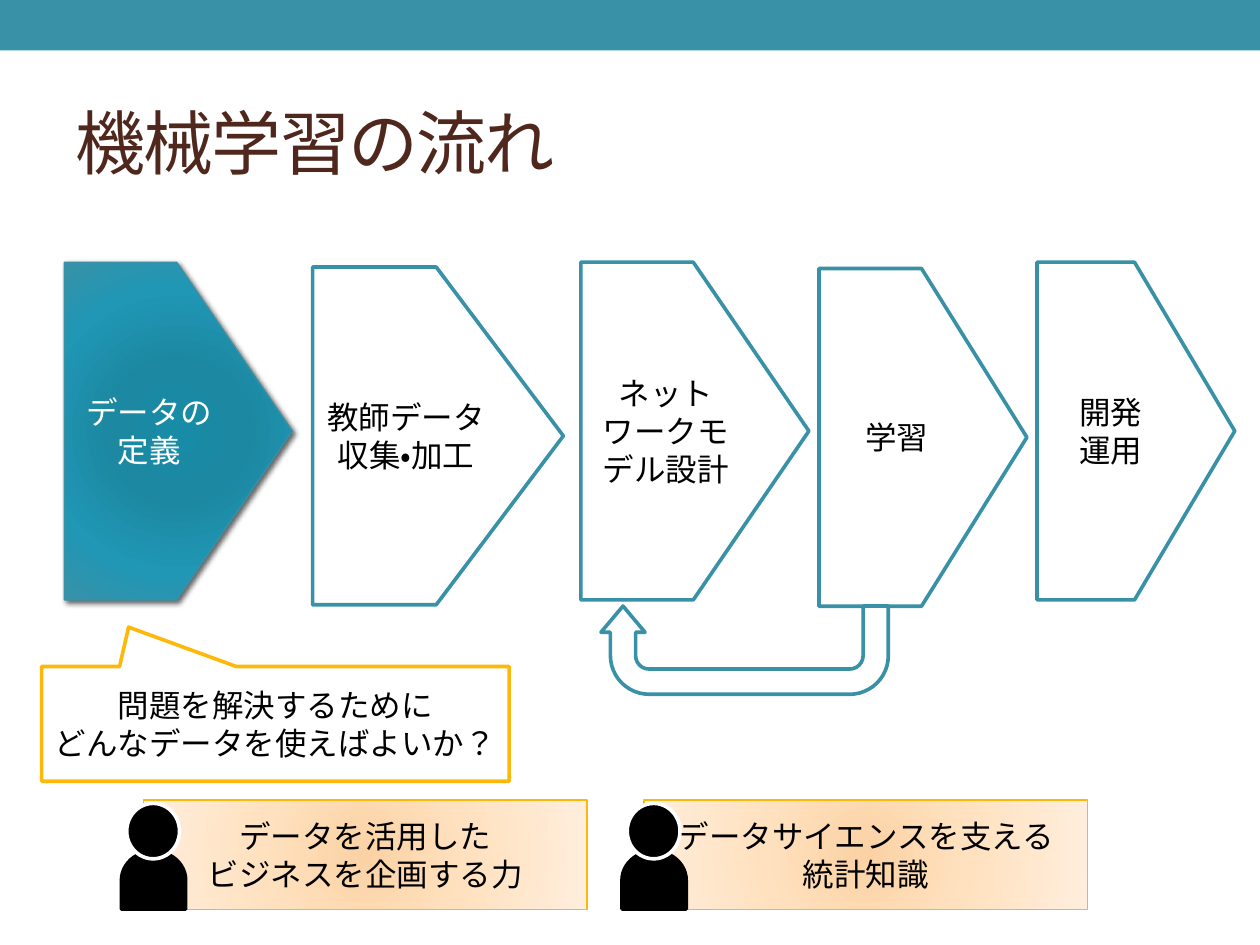
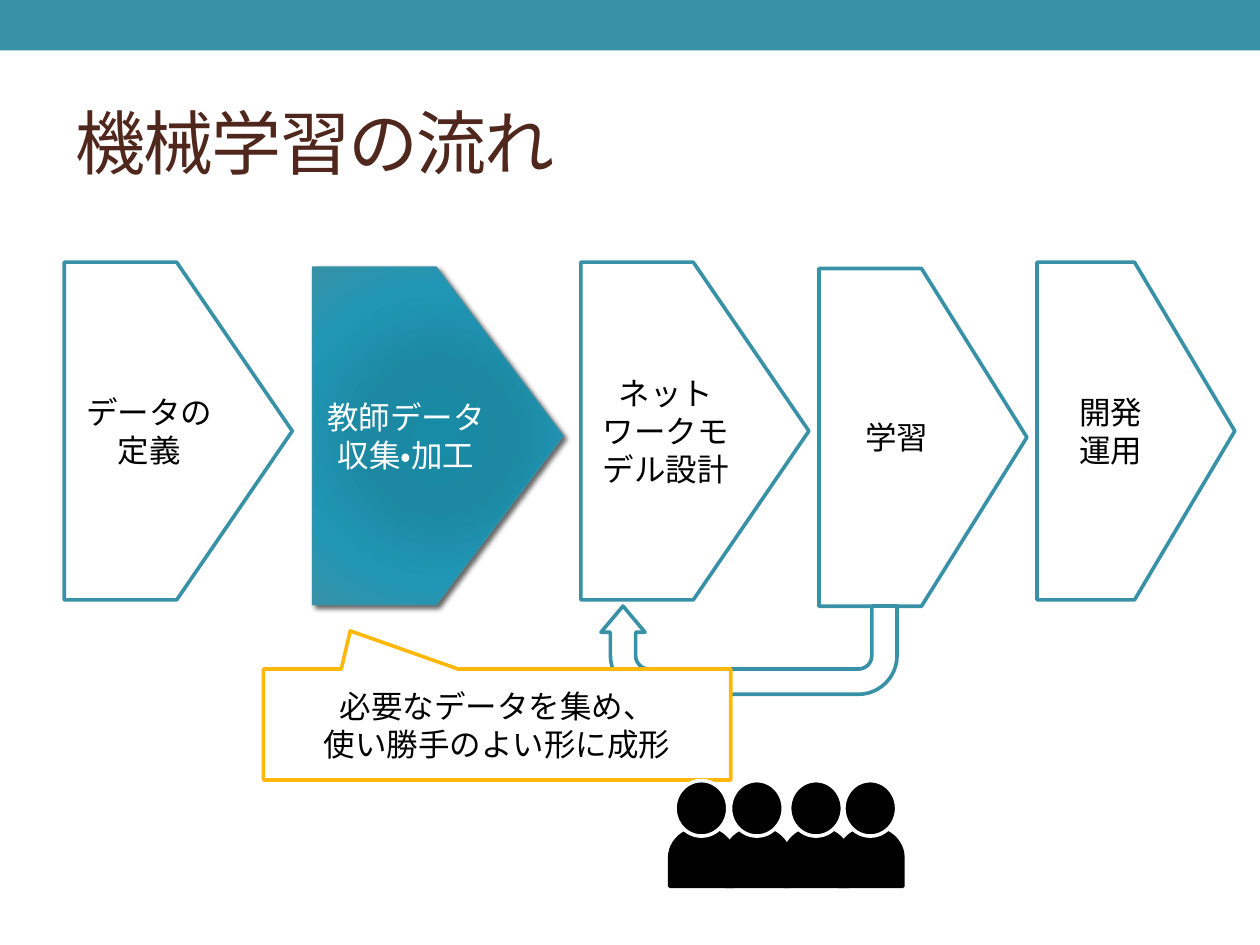
from pptx import Presentation
from pptx.dml.color import RGBColor
from pptx.enum.lang import MSO_LANGUAGE_ID
from pptx.enum.shapes import MSO_SHAPE
from pptx.enum.text import MSO_ANCHOR, PP_ALIGN
from pptx.oxml import parse_xml
from pptx.oxml.ns import nsdecls, qn
from pptx.util import Pt

BLOCK, OVAL = MSO_SHAPE.RECTANGLE, MSO_SHAPE.OVAL
STEP, LOOP = MSO_SHAPE.PENTAGON, MSO_SHAPE.U_TURN_ARROW
CALL, BODY = MSO_SHAPE.RECTANGULAR_CALLOUT, MSO_SHAPE.FLOWCHART_DELAY
MIDDLE, LEFT, CENTER = MSO_ANCHOR.MIDDLE, PP_ALIGN.LEFT, PP_ALIGN.CENTER
JAPANESE = MSO_LANGUAGE_ID.JAPANESE

TEAL = RGBColor(0x38, 0x91, 0xA7)
GOLD = RGBColor(0xFE, 0xB8, 0x0A)
BROWN = RGBColor(0x4F, 0x27, 0x1C)
BLACK = RGBColor(0, 0, 0)
WHITE = RGBColor(255, 255, 255)
DEEP = [(0, RGBColor(0x18, 0x8B, 0xA7)), (34, RGBColor(0x1D, 0x88, 0xA2)),
        (70, RGBColor(0x20, 0x97, 0xB5)), (100, TEAL)]
PEACH = [(0, RGBColor(0xFB, 0xD2, 0xA4)), (45, RGBColor(0xFF, 0xE1, 0xBF)),
         (100, RGBColor(0xFF, 0xEE, 0xDD))]

FONT = "Arial"
THICK, THIN = 2.08, 0.75
TITLE = "機械学習の流れ"
STEPS = [  # left, top, width, text
    (36.7, 149.8, 130.3, "データの定義"),
    (178.6, 152.6, 143.3, "教師データ\n収集・加工"),
    (331.9, 149.8, 130.3, "ネットワークモデル設計"),
    (468, 153.4, 118.8, "学習"),
    (592.6, 149.8, 113, "開発\n運用"),
]
SKILLS = [(82, "データを活用した\nビジネスを企画する力"),
          (368, "データサイエンスを支える\n統計知識")]
TEAM = (384.5, 416.2, 450, 481)


class Deck:
    def __init__(self):
        self.prs = Presentation()
        self.prs.slide_width, self.prs.slide_height = Pt(720), Pt(540)
        self.layout = self.prs.slide_layouts[5]
        self.slide = None

    def start(self, title):
        """Add a slide with its title; the first one also sets up the band."""
        first = self.slide is None
        self.slide = self.prs.slides.add_slide(self.layout)
        if first:
            self.band()
        box = self.slide.shapes.title
        box.left, box.top, box.width, box.height = Pt(36), Pt(41.8), Pt(648), Pt(77.8)
        self.label(box, title, 40, BROWN, LEFT)
        run = box.text_frame.paragraphs[0].runs[0]
        run.font._element.set("spc", "-100")

    def band(self):
        """Put the top band on the layout, behind everything else."""
        node = self.shape(BLOCK, (0, 0, 720, 28.8), TEAL).element
        node.nvSpPr.cNvPr.set("id", "20")
        self.layout.shapes.element.insert(2, node)

    def label(self, shape, text, size=18, color=BLACK, align=CENTER):
        frame = shape.text_frame
        frame.text = text
        frame.word_wrap = True
        frame.vertical_anchor = MIDDLE
        for par in frame.paragraphs:
            par.alignment = align
            for run in par.runs:
                font = run.font
                font.name, font.size = FONT, Pt(size)
                font.color.rgb = color
                font.language_id = JAPANESE

    def shape(self, kind, box, fill, line=None, width=THICK, adjust=(), home=None):
        shape = (home or self.slide).shapes.add_shape(kind, *map(Pt, box))
        shape.shadow.inherit = False
        for i, value in enumerate(adjust):
            shape.adjustments[i] = value
        if isinstance(fill, list):
            self.blend(shape, fill)
        else:
            shape.fill.solid()
            shape.fill.fore_color.rgb = fill
        if line is None:
            shape.line.fill.background()
        else:
            shape.line.color.rgb = line
            shape.line.width = Pt(width)
        return shape

    def blend(self, shape, stops):
        """Fill with a round gradient."""
        marks = "".join(f'<a:gs pos="{pos * 1000}"><a:srgbClr val="{color}"/></a:gs>'
                        for pos, color in stops)
        shape.fill.background()
        props = shape.element.spPr
        props.replace(props.find(qn("a:noFill")), parse_xml(
            f'<a:gradFill {nsdecls("a")} rotWithShape="1"><a:gsLst>{marks}</a:gsLst>'
            '<a:path path="circle"><a:fillToRect l="100000" t="100000" '
            'r="100000" b="100000"/></a:path></a:gradFill>'))

    def shade(self, shape):
        """Give a soft shadow to the lower right."""
        shape.element.spPr.find(qn("a:effectLst")).append(parse_xml(
            f'<a:outerShdw {nsdecls("a")} blurRad="{Pt(3)}" dist="{Pt(2)}" '
            'dir="2700000" algn="tl" rotWithShape="0"><a:srgbClr val="000000">'
            '<a:alpha val="60000"/></a:srgbClr></a:outerShdw>'))

    def flow(self, active, span):
        """Draw all steps, the active one filled, and the loop back."""
        for i, (left, top, width, text) in enumerate(STEPS):
            lit = i == active
            step = self.shape(STEP, (left, top, width, 193), DEEP if lit else WHITE,
                              TEAL, THIN if lit else THICK, [0.507])
            if lit:
                self.shade(step)
            self.label(step, text, color=WHITE if lit else BLACK)
        loop = self.shape(LOOP, (343.4, 346.3, span, 50.4), WHITE, TEAL,
                          adjust=(0.286, 0.25, 0.297, 0.438, 1))
        loop.rotation = 180

    def callout(self, left, top, height, text):
        note = self.shape(CALL, (left, top, 267.1, height), WHITE, GOLD,
                          adjust=(-0.314, -0.844))
        self.label(note, text)

    def card(self, left, text):
        card = self.shape(BLOCK, (left, 457.2, 253.4, 62.6), PEACH, GOLD, THIN)
        self.label(card, text)

    def person(self, left, top):
        group = self.slide.shapes.add_group_shape()
        body = self.shape(BODY, (left, top, 33.1, 36.7), BLACK, BLACK, home=group)
        body.rotation = 270
        self.shape(OVAL, (left + 1.2, top - 25.5, 30.2, 31.7), BLACK, WHITE, home=group)


def main():
    deck = Deck()

    deck.start(TITLE)
    deck.flow(0, 164.2)
    deck.callout(23.8, 380.9, 65.5, "問題を解決するために\nどんなデータを使えばよいか？")
    for left, text in SKILLS:
        deck.card(left, text)
        deck.person(left - 10.8, 484.6)

    deck.start(TITLE)
    deck.flow(1, 169.2)
    deck.callout(150.5, 382.3, 63.4, "必要なデータを集め、\n使い勝手のよい形に成形")
    for left in TEAM:
        deck.person(left, 471.6)

    deck.prs.save("out.pptx")


if __name__ == "__main__":
    main()
